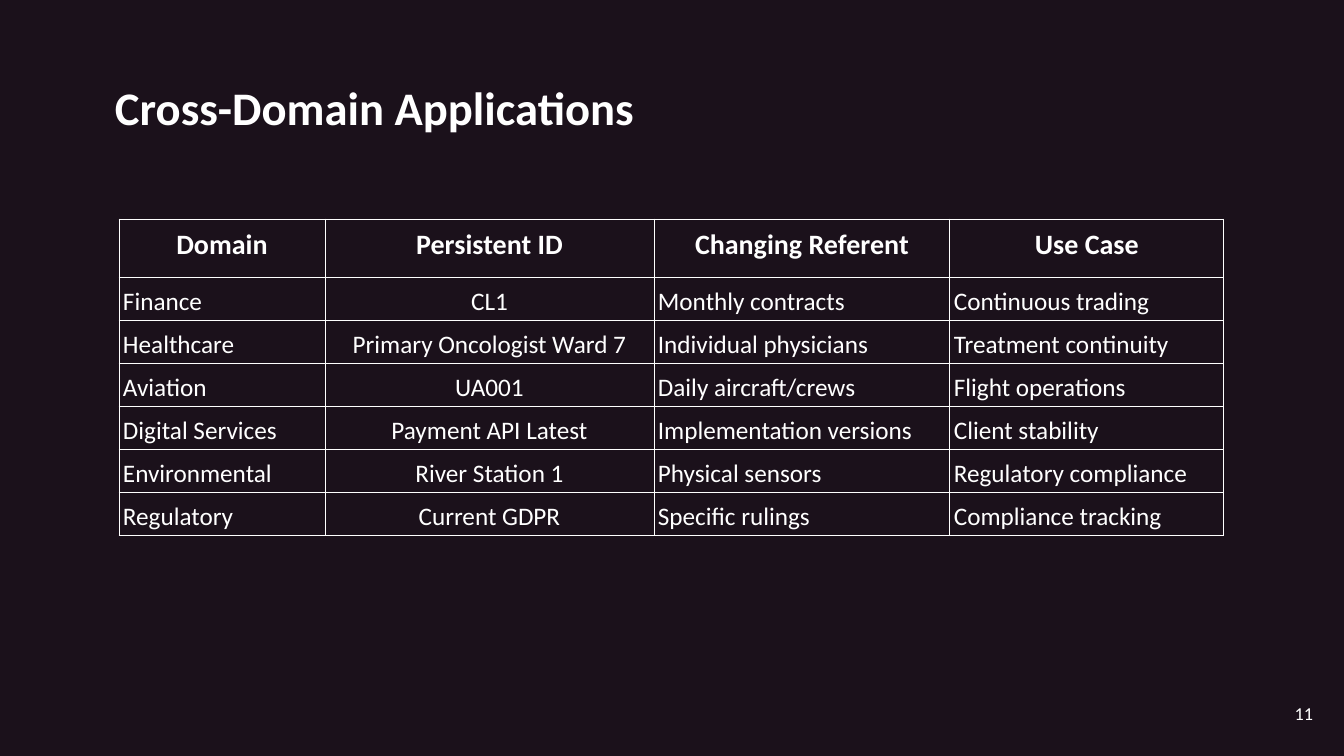
import pptx
import pptx.dml.color
import pptx.enum.text
import pptx.oxml
import pptx.oxml.ns
import pptx.util

RGBColor = pptx.dml.color.RGBColor
Align = pptx.enum.text.PP_ALIGN
Anchor = pptx.enum.text.MSO_ANCHOR

DARK = RGBColor(0x1B, 0x11, 0x1B)
WHITE = RGBColor(0xFF, 0xFF, 0xFF)

SCALE = 12192000 / 1344
WIDTHS = [206, 329, 296, 274]
HEAD, ROW = 59, 43
ALIGNS = [Align.LEFT, Align.CENTER, Align.LEFT, Align.LEFT]
ROWS = [
    ["Domain", "Persistent ID", "Changing Referent", "Use Case"],
    ["Finance", "CL1", "Monthly contracts", "Continuous trading"],
    ["Healthcare", "Primary Oncologist Ward 7", "Individual physicians", "Treatment continuity"],
    ["Aviation", "UA001", "Daily aircraft/crews", "Flight operations"],
    ["Digital Services", "Payment API Latest", "Implementation versions", "Client stability"],
    ["Environmental", "River Station 1", "Physical sensors", "Regulatory compliance"],
    ["Regulatory", "Current GDPR", "Specific rulings", "Compliance tracking"],
]


def px(count):
    return pptx.util.Emu(round(count * SCALE))


class Deck:
    """Holds the text style and the current slide."""

    def __init__(self, font, ink, paper):
        self.font, self.ink = font, ink
        self.show = pptx.Presentation()
        self.show.slide_width, self.show.slide_height = px(1344), px(756)
        self.slide = self.show.slides.add_slide(self.show.slide_layouts[6])
        self.slide.background.fill.solid()
        self.slide.background.fill.fore_color.rgb = paper

    def letter(self, frame, text, size, bold, align):
        """Puts styled text in the frame's first paragraph and returns it."""
        para = frame.paragraphs[0]
        para.text = text
        para.alignment = align
        para.font.name = self.font
        para.font.size = pptx.util.Pt(size)
        para.font.bold = bold
        para.font.color.rgb = self.ink
        return para

    def inset(self, item, gap):
        item.margin_left = item.margin_right = px(gap)
        item.margin_top = item.margin_bottom = px(gap)

    def text(self, text, box, size, bold=False, align=Align.LEFT, anchor=Anchor.TOP):
        frame = self.slide.shapes.add_textbox(*map(px, box)).text_frame
        frame.word_wrap = True
        frame.vertical_anchor = anchor
        self.inset(frame, 13)
        self.letter(frame, text, size, bold, align)

    def border(self, cell):
        """Draws a thin line on all four sides of the cell, before its fill."""
        props = cell._tc.get_or_add_tcPr()
        for spot, side in enumerate(["lnL", "lnR", "lnT", "lnB"]):
            line = pptx.oxml.parse_xml(
                f'<a:{side} {pptx.oxml.ns.nsdecls("a")} w="{pptx.util.Pt(0.75)}">'
                f'<a:solidFill><a:srgbClr val="{self.ink}"/></a:solidFill></a:{side}>')
            props.insert(spot, line)

    def table(self, left, top, rows, widths, aligns):
        heights = [HEAD] + [ROW] * (len(rows) - 1)
        grid = self.slide.shapes.add_table(
            len(rows), len(widths), px(left), px(top), px(sum(widths)), px(sum(heights))).table
        grid.horz_banding = False
        for column, width in zip(grid.columns, widths):
            column.width = px(width)
        for r, (row, height) in enumerate(zip(rows, heights)):
            grid.rows[r].height = px(height)
            head = r == 0
            for c, text in enumerate(row):
                cell = grid.cell(r, c)
                cell.fill.background()
                self.inset(cell, 4)
                para = self.letter(cell.text_frame, text, 20 if head else 18, head,
                                   Align.CENTER if head else aligns[c])
                para.line_spacing = 1.15
                self.border(cell)


def main():
    deck = Deck("Calibri", WHITE, DARK)
    deck.text("Cross-Domain Applications", (102, 66, 1143, 84), 33.3, bold=True)
    deck.text("11", (1245, 685, 81, 57), 13, align=Align.RIGHT, anchor=Anchor.MIDDLE)
    deck.table(119, 219, ROWS, WIDTHS, ALIGNS)
    deck.show.save("out.pptx")


if __name__ == "__main__":
    main()
